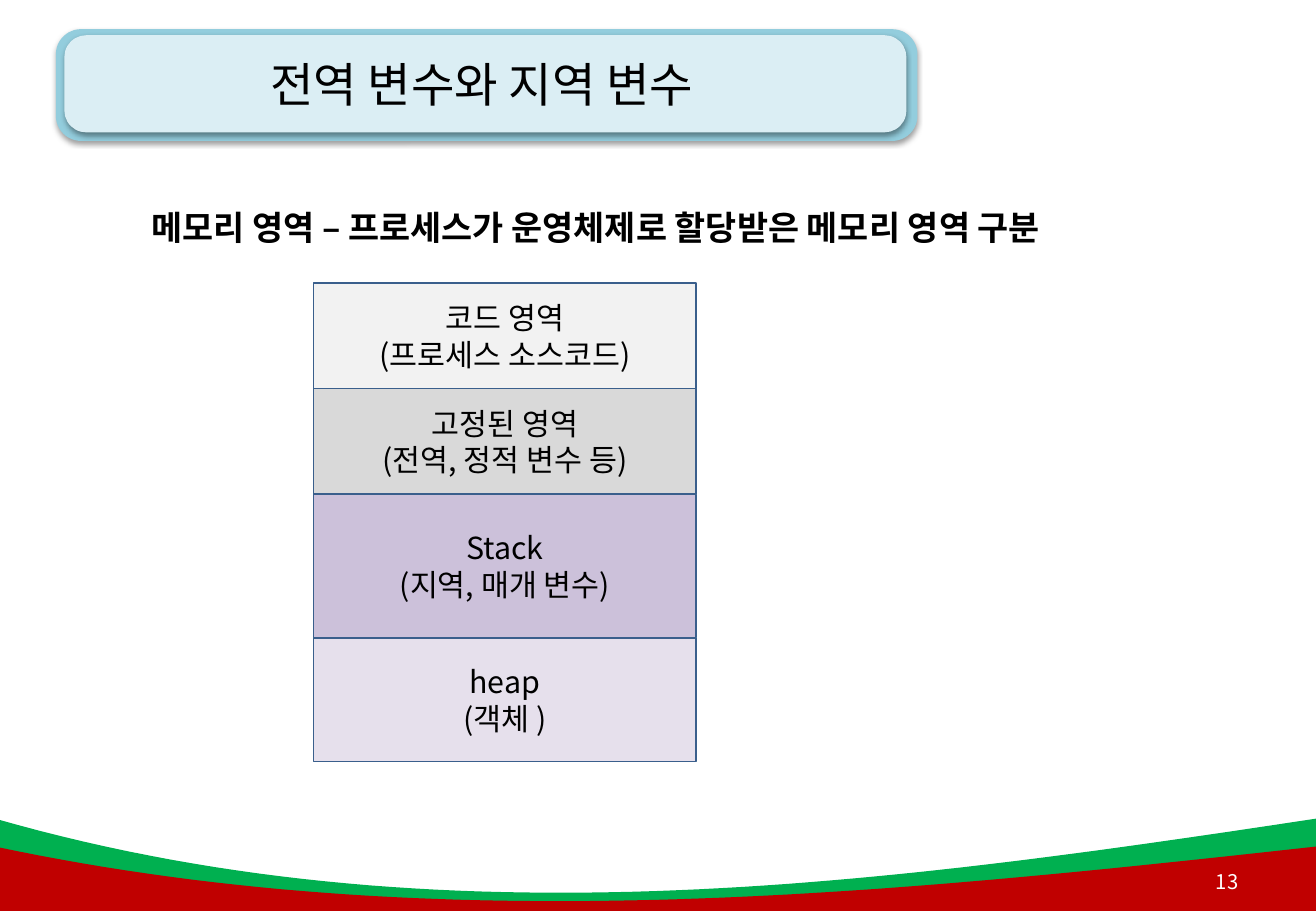
"""Build the slide on global and local variables with its memory area diagram."""
from dataclasses import dataclass

from lxml import etree
from pptx import Presentation
from pptx.dml.color import RGBColor
from pptx.enum.shapes import MSO_SHAPE
from pptx.enum.text import MSO_ANCHOR, PP_ALIGN
from pptx.oxml.ns import qn
from pptx.util import Inches, Pt

RECTANGLE = MSO_SHAPE.RECTANGLE
ROUNDED = MSO_SHAPE.ROUNDED_RECTANGLE
MIDDLE, TOP = MSO_ANCHOR.MIDDLE, MSO_ANCHOR.TOP
LEFT, CENTER, RIGHT = PP_ALIGN.LEFT, PP_ALIGN.CENTER, PP_ALIGN.RIGHT
SLIDE_WIDTH, SLIDE_HEIGHT = 10.83, 7.5
WAVE_LEFT = -0.04
CURVE_STEPS = 60
STACK_LEFT, STACK_TOP, STACK_WIDTH = 2.58, 2.33, 3.15


@dataclass(frozen=True)
class Theme:
    """Colours, font and type sizes of the slide."""
    font: str = "Noto Sans CJK KR"
    text: str = "000000"
    page_text: str = "FFFFFF"
    outline: str = "3A5F8C"
    green: str = "00B050"
    red: str = "C00000"
    banner_outer: str = "93CDDD"
    banner_inner: str = "DBEEF4"
    code: str = "F2F2F2"
    static: str = "D9D9D9"
    stack: str = "CCC1DA"
    heap: str = "E6E0EC"
    title_size: int = 28
    heading_size: int = 20
    area_size: int = 18
    page_size: int = 12


THEME = Theme()


@dataclass(frozen=True)
class Box:
    """Position and size in inches."""
    left: float
    top: float
    width: float
    height: float

    def lengths(self):
        """Return the four measures as lengths."""
        return tuple(map(Inches, (self.left, self.top, self.width, self.height)))


@dataclass(frozen=True)
class Wave:
    """A footer wave: heights of its four curve controls, and its colour."""
    heights: tuple[float, float, float, float]
    color: str


@dataclass(frozen=True)
class Banner:
    """One rounded layer of the title banner."""
    box: Box
    color: str


@dataclass(frozen=True)
class Label:
    """A free text box."""
    box: Box
    text: str
    size: int
    color: str = THEME.text
    align: PP_ALIGN = CENTER
    anchor: MSO_ANCHOR = MIDDLE
    bold: bool = False
    line_spacing: float = 1.0


@dataclass(frozen=True)
class MemoryArea:
    """One block of the memory diagram."""
    name: str
    contents: str
    height: float
    color: str


WAVES = (
    Wave((6.74, 7.78, 7.29, 6.74), THEME.green),
    Wave((6.97, 7.74, 7.37, 6.97), THEME.red),
)
BANNERS = (
    Banner(Box(0.46, 0.24, 7.09, 0.92), THEME.banner_outer),
    Banner(Box(0.53, 0.29, 6.93, 0.8), THEME.banner_inner),
)
LABELS = (
    Label(Box(0.46, 0.22, 7.01, 0.94), "전역 변수와 지역 변수", THEME.title_size),
    Label(Box(9.68, 7.06, 0.61, 0.4), "13", THEME.page_size,
          color=THEME.page_text, align=RIGHT),
    Label(Box(1.15, 1.49, 8.84, 0.61),
          "메모리 영역 – 프로세스가 운영체제로 할당받은 메모리 영역 구분",
          THEME.heading_size, align=LEFT, anchor=TOP, bold=True, line_spacing=1.5),
)
MEMORY_AREAS = (
    MemoryArea("코드 영역", "(프로세스 소스코드)", 0.87, THEME.code),
    MemoryArea("고정된 영역", "(전역, 정적 변수 등)", 0.87, THEME.static),
    MemoryArea("Stack", "(지역, 매개 변수)", 1.18, THEME.stack),
    MemoryArea("heap", "(객체 )", 1.02, THEME.heap),
)


def paint(shape, color: str) -> None:
    """Give a shape a solid fill, no line and no shadow."""
    shape.shadow.inherit = False
    shape.fill.solid()
    shape.fill.fore_color.rgb = RGBColor.from_string(color)
    shape.line.fill.background()


def add_run(paragraph, text: str, size: int, color: str, bold: bool = False) -> None:
    """Add one styled run whose font also covers Korean text."""
    run = paragraph.add_run()
    run.text = text
    run.font.size = Pt(size)
    run.font.bold = bold
    run.font.name = THEME.font
    run.font.color.rgb = RGBColor.from_string(color)
    properties = run.font._element
    etree.SubElement(properties, qn("a:ea"), typeface=THEME.font)


def cast_shadow(shape) -> None:
    """Add a soft shadow below a shape."""
    effects = shape._element.spPr.find(qn("a:effectLst"))
    shadow = etree.SubElement(
        effects, qn("a:outerShdw"), blurRad=str(Pt(3.1)), dist=str(Pt(1.6)),
        dir="5400000", algn="ctr", rotWithShape="0")
    color = etree.SubElement(shadow, qn("a:srgbClr"), val="000000")
    etree.SubElement(color, qn("a:alpha"), val="38000")


def draw_wave(slide, wave: Wave) -> None:
    """Draw a cubic curve filled down to the slide's bottom edge."""
    start, first, second, end = wave.heights
    points = []
    for step in range(CURVE_STEPS + 1):
        t = step / CURVE_STEPS
        u = 1 - t
        x = WAVE_LEFT + (SLIDE_WIDTH - WAVE_LEFT) * t
        y = u**3 * start + 3 * u**2 * t * first + 3 * u * t**2 * second + t**3 * end
        points.append((Inches(x), Inches(y)))
    bottom = Inches(SLIDE_HEIGHT)
    points += [(Inches(SLIDE_WIDTH), bottom), (Inches(WAVE_LEFT), bottom)]
    builder = slide.shapes.build_freeform(*points[0])
    builder.add_line_segments(points[1:], close=True)
    paint(builder.convert_to_shape(), wave.color)


def draw_banner(slide, banner: Banner) -> None:
    """Draw one layer of the title banner."""
    shape = slide.shapes.add_shape(ROUNDED, *banner.box.lengths())
    shape.adjustments[0] = 0.225
    paint(shape, banner.color)
    cast_shadow(shape)


def draw_label(slide, label: Label) -> None:
    """Draw a text box with one paragraph."""
    frame = slide.shapes.add_textbox(*label.box.lengths()).text_frame
    frame.word_wrap = True
    frame.vertical_anchor = label.anchor
    paragraph = frame.paragraphs[0]
    paragraph.alignment = label.align
    paragraph.line_spacing = label.line_spacing
    add_run(paragraph, label.text, label.size, label.color, label.bold)


def draw_memory_area(slide, area: MemoryArea, top: float) -> None:
    """Draw one memory block with its name above its contents."""
    box = Box(STACK_LEFT, top, STACK_WIDTH, area.height)
    shape = slide.shapes.add_shape(RECTANGLE, *box.lengths())
    paint(shape, area.color)
    shape.line.color.rgb = RGBColor.from_string(THEME.outline)
    shape.line.width = Pt(1)
    frame = shape.text_frame
    frame.word_wrap = True
    frame.vertical_anchor = MIDDLE
    for paragraph, text in ((frame.paragraphs[0], area.name),
                            (frame.add_paragraph(), area.contents)):
        paragraph.alignment = CENTER
        add_run(paragraph, text, THEME.area_size, THEME.text)


presentation = Presentation()
presentation.slide_width = Inches(SLIDE_WIDTH)
presentation.slide_height = Inches(SLIDE_HEIGHT)
slide = presentation.slides.add_slide(presentation.slide_layouts[6])
for wave in WAVES:
    draw_wave(slide, wave)
for banner in BANNERS:
    draw_banner(slide, banner)
for label in LABELS:
    draw_label(slide, label)
area_top = STACK_TOP
for area in MEMORY_AREAS:
    draw_memory_area(slide, area, area_top)
    area_top += area.height
presentation.save("out.pptx")
